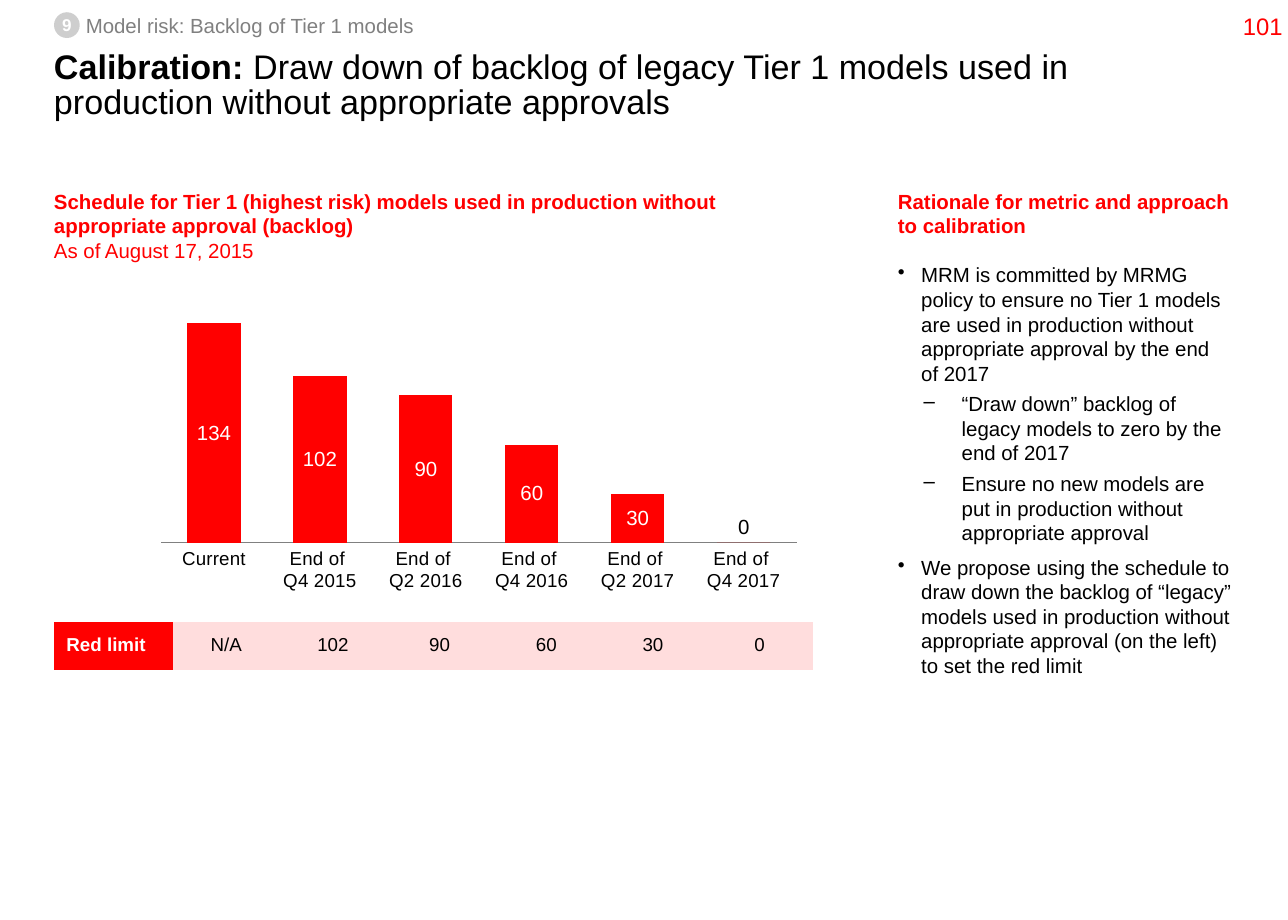
from dataclasses import dataclass

from lxml import etree
from pptx import Presentation, util as u
from pptx.chart.data import CategoryChartData
from pptx.dml.color import RGBColor
from pptx.enum import chart as ch, shapes, text
from pptx.oxml import parse_xml
from pptx.oxml.ns import nsdecls, qn

COLS, ROWS = 105, 75
CELL = u.Inches(0.1)
FONT = "Arial"
RED, PINK, BLACK, WHITE = "FF0000", "FFDDDD", "000000", "FFFFFF"
GREY, BADGE_GREY = "808080", "CECECE"
LEFT, RIGHT = 4.4, 73.2
NO_STYLE = "{2D5ABB26-0587-4C30-8999-92F81FD0307C}"


@dataclass(frozen=True)
class Box:
    """A place on the grid, in columns and rows."""
    col: float
    row: float
    cols: float
    rows: float

    def emu(self) -> list[int]:
        return [int(n * CELL) for n in (self.col, self.row, self.cols, self.rows)]


@dataclass(frozen=True)
class Run:
    text: str
    size: float = 12
    color: str = BLACK
    bold: bool = False


@dataclass(frozen=True)
class Para:
    runs: tuple[Run, ...]
    format: tuple[tuple[str, object], ...] = ()
    level: int = 0
    bullet: str = ""


@dataclass(frozen=True)
class Bullet:
    char: str
    margin: float
    hang: float
    before: float


BULLETS = (Bullet("•", 0.19, 0.19, 6), Bullet("–", 0.52, 0.31, 3.6))
CENTER = (("alignment", text.PP_ALIGN.CENTER),)
TIGHT = ("line_spacing", 0.86)

SCHEDULE = {"Current": 134, "End of \nQ4 2015": 102, "End of \nQ2 2016": 90,
            "End of \nQ4 2016": 60, "End of \nQ2 2017": 30, "End of \nQ4 2017": 0}
RATIONALE = (
    (0, "MRM is committed by MRMG policy to ensure no Tier 1 models are used in "
        "production without appropriate approval by the end of\u00a02017"),
    (1, "“Draw down” backlog of legacy models to zero by the end of 2017"),
    (1, "Ensure no new models are put in production without appropriate approval"),
    (0, "We propose using the schedule to draw down the backlog of “legacy” models used in "
        "production without appropriate approval (on the left) to set the red limit"),
)


def rgb(color: str) -> RGBColor:
    return RGBColor.from_string(color)


def set_all(target, values: dict) -> None:
    for name, value in values.items():
        setattr(target, name, value)


def set_font(font, size: float, color: str, bold: bool = False) -> None:
    set_all(font, {"name": FONT, "size": u.Pt(size), "bold": bold})
    font.color.rgb = rgb(color)


def add_bullet(p, bullet: Bullet, first: bool) -> None:
    pPr = p._p.get_or_add_pPr()
    pPr.set("marL", str(u.Inches(bullet.margin)))
    pPr.set("indent", str(-u.Inches(bullet.hang)))
    etree.SubElement(pPr, qn("a:buChar")).set("char", bullet.char)
    if not first:
        p.space_before = u.Pt(bullet.before)


def write(tf, paras: list[Para], **frame) -> None:
    """Fill a text frame; keyword values override its zero insets and wrapping."""
    set_all(tf, {"margin_left": 0, "margin_right": 0, "margin_top": 0, "margin_bottom": 0,
                 "word_wrap": True, "vertical_anchor": text.MSO_ANCHOR.TOP} | frame)
    for i, para in enumerate(paras):
        p = tf.add_paragraph() if i else tf.paragraphs[0]
        p.level = para.level
        if para.bullet:
            add_bullet(p, BULLETS[para.level], i == 0)
        set_all(p, dict(para.format))
        for run in para.runs:
            r = p.add_run()
            r.text = run.text
            set_font(r.font, run.size, run.color, run.bold)


def add_text(parent, box: Box, paras: list[Para], **frame) -> None:
    write(parent.add_textbox(*box.emu()).text_frame, paras, **frame)


def add_title(s) -> None:
    sp = s.shapes.title
    set_all(sp, dict(zip(("left", "top", "width", "height"), Box(LEFT, 4.2, 96.2, 8).emu())))
    runs = (Run("Calibration: ", 20, bold=True),
            Run("Draw down of backlog of legacy Tier 1 models used in production "
                "without appropriate approvals", 20))
    write(sp.text_frame, [Para(runs, (TIGHT, ("alignment", text.PP_ALIGN.LEFT)))],
          auto_size=text.MSO_AUTO_SIZE.NONE)


def add_section_marker(s) -> None:
    group = s.shapes.add_group_shape().shapes
    add_text(group, Box(7, 1.1, 27, 2),
             [Para((Run("Model risk: Backlog of Tier 1 models", color=GREY),))], word_wrap=False)
    badge = group.add_shape(shapes.MSO_SHAPE.OVAL, *Box(LEFT, 1, 2.1, 2.1).emu())
    badge.shadow.inherit = False
    badge.fill.solid()
    badge.fill.fore_color.rgb = rgb(BADGE_GREY)
    badge.line.fill.background()
    write(badge.text_frame, [Para((Run("9", 10, WHITE, True),), CENTER)],
          word_wrap=False, vertical_anchor=text.MSO_ANCHOR.MIDDLE)


def add_backlog_chart(s) -> None:
    data = CategoryChartData()
    data.categories = list(SCHEDULE)
    data.add_series("Series 1", list(SCHEDULE.values()))
    chart = s.shapes.add_chart(ch.XL_CHART_TYPE.COLUMN_STACKED,
                               *Box(10.4, 22.9, 54.6, 31.4).emu(), data).chart
    set_all(chart, {"has_legend": False, "has_title": False})
    set_font(chart.font, 11, BLACK)
    set_all(chart.value_axis, {"visible": False, "has_major_gridlines": False,
                               "minimum_scale": 0, "maximum_scale": 160})
    axis = chart.category_axis
    axis.major_tick_mark = ch.XL_TICK_MARK.NONE
    axis.format.line.color.rgb = rgb(GREY)
    set_font(axis.tick_labels.font, 11, BLACK)

    plot = chart.plots[0]
    set_all(plot, {"gap_width": 99, "overlap": 100, "vary_by_categories": False})
    series = plot.series[0]
    series.format.fill.solid()
    series.format.fill.fore_color.rgb = rgb(RED)
    series.data_labels.show_value = True
    set_font(series.data_labels.font, 12, WHITE)
    zero_label = series.points[len(SCHEDULE) - 1].data_label
    set_font(zero_label.font, 12, BLACK)
    zero_label.position = ch.XL_LABEL_POSITION.INSIDE_BASE

    area = chart._chartSpace.chart.plotArea
    for old in area.findall(qn("c:layout")):
        area.remove(old)
    places = "".join(f'<c:{k} val="{v}"/>' for k, v in
                     {"layoutTarget": "inner", "xMode": "edge", "yMode": "edge",
                      "x": 0.05, "y": 0, "w": 0.95, "h": 0.68}.items())
    area.insert(0, parse_xml(f'<c:layout {nsdecls("c")}><c:manualLayout>{places}'
                             '</c:manualLayout></c:layout>'))


def add_limit_table(s) -> None:
    labels = ["Red limit", "N/A"] + [str(v) for v in list(SCHEDULE.values())[1:]]
    table = s.shapes.add_table(1, len(labels), *Box(LEFT, 50.7, 61.9, 4).emu()).table
    set_all(table, {"first_row": False, "horz_banding": False})
    table._tbl.tblPr[0].text = NO_STYLE
    for i, label in enumerate(labels):
        head = i == 0
        table.columns[i].width = int((9.7 if head else 8.7) * CELL)
        cell = table.cell(0, i)
        set_all(cell, {"vertical_anchor": text.MSO_ANCHOR.MIDDLE,
                       "margin_right": u.Inches(0.22 if head else 0.1)})
        p = cell.text_frame.paragraphs[0]
        set_all(p, dict(CENTER + (TIGHT,)))
        r = p.add_run()
        r.text = label
        set_font(r.font, 11, WHITE if head else BLACK, head)
        cell._tc.get_or_add_tcPr().append(parse_xml(
            f'<a:lnB {nsdecls("a")} w="{u.Pt(0.75)}"><a:solidFill>'
            f'<a:srgbClr val="{WHITE}"/></a:solidFill></a:lnB>'))
        cell.fill.solid()
        cell.fill.fore_color.rgb = rgb(RED if head else PINK)


def main() -> None:
    prs = Presentation()
    set_all(prs, {"slide_width": COLS * CELL, "slide_height": ROWS * CELL})
    s = prs.slides.add_slide(prs.slide_layouts[5])
    add_backlog_chart(s)
    add_title(s)
    add_text(s.shapes, Box(LEFT, 15.4, 54.5, 5.1), [
        Para((Run("Schedule for Tier 1 (highest risk) models used in production without "
                  "appropriate approval (backlog)", color=RED, bold=True),)),
        Para((Run("As of August 17, 2015", color=RED),))])
    add_text(s.shapes, Box(RIGHT, 15.4, 27.3, 3.7), [
        Para((Run("Rationale for metric and approach to calibration", color=RED, bold=True),))])
    add_text(s.shapes, Box(RIGHT, 21.4, 27.3, 44.5),
             [Para((Run(words),), level=level, bullet=BULLETS[level].char)
              for level, words in RATIONALE])
    add_limit_table(s)
    add_section_marker(s)
    add_text(s.shapes, Box(100.9, 0, 4.1, 4.2), [Para((Run("101", 14, RED),), CENTER)],
             word_wrap=False, vertical_anchor=text.MSO_ANCHOR.MIDDLE)
    prs.save("out.pptx")


if __name__ == "__main__":
    main()
